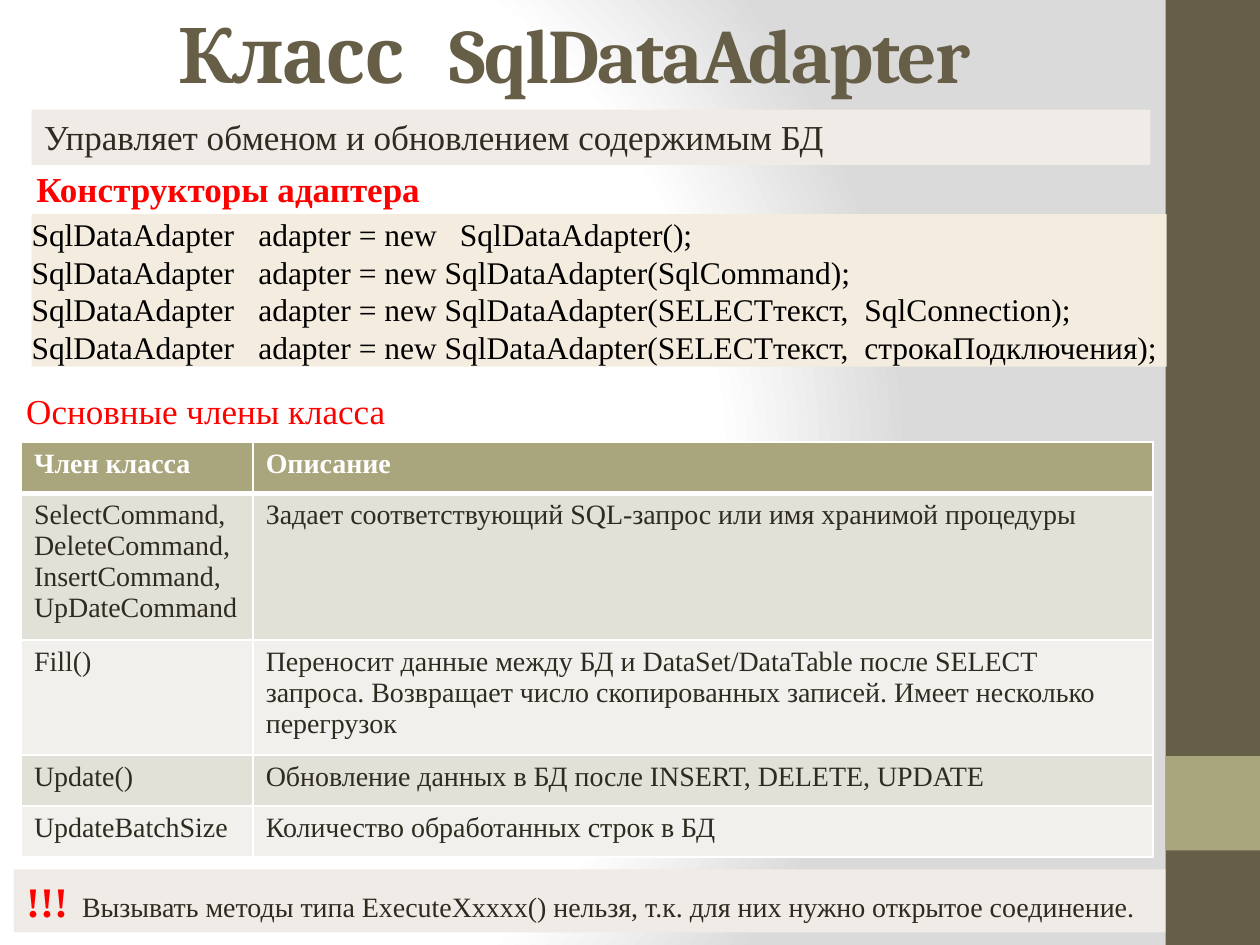
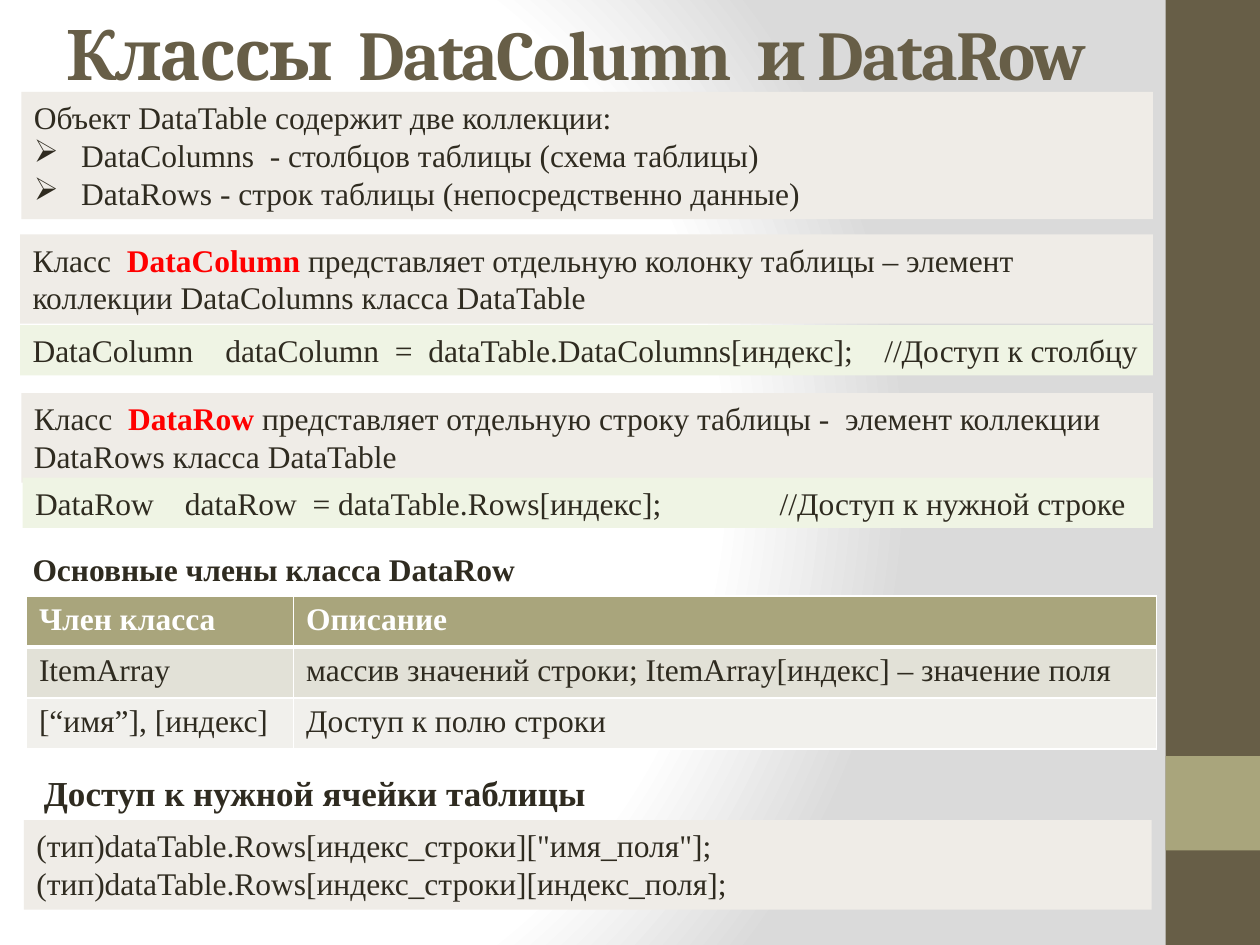
from pptx import Presentation, oxml, util as u
from pptx.dml.color import RGBColor
from pptx.enum import shapes, text
from pptx.oxml.ns import nsdecls

OLIVE = RGBColor(0x67, 0x5E, 0x47)
SAGE = RGBColor(0xA9, 0xA5, 0x7C)
INK = RGBColor(0x2F, 0x2B, 0x20)
BLACK = RGBColor(0, 0, 0)
WHITE = RGBColor(0xFF, 0xFF, 0xFF)
RED = RGBColor(0xFF, 0, 0)
STONE = RGBColor(0xEF, 0xEC, 0xE7)
CREAM = RGBColor(0xF4, 0xEC, 0xDF)
MINT = RGBColor(0xEF, 0xF4, 0xE4)
ROW_DARK = RGBColor(0xE2, 0xE1, 0xD7)
ROW_LIGHT = RGBColor(0xF1, 0xF0, 0xEC)
BODY_FONT = "Times New Roman"
NS = nsdecls("a")

prs = Presentation()
prs.slide_width, prs.slide_height = u.Inches(10), u.Inches(7.5)
CELL = prs.slide_width // 100  # the grid has 100 columns and 75 rows


def write(tf, lines, size=18, color=INK, bold=False, font=BODY_FONT,
          align=text.PP_ALIGN.LEFT, tracking=0, tabs=(), bullets_from=None):
    """Fill a frame with lines; a line is a string or a list of (text, overrides)."""
    tf.word_wrap = True
    for i, line in enumerate(lines):
        p = tf.paragraphs[0] if i == 0 else tf.add_paragraph()
        p.alignment = align
        pPr = p._p.get_or_add_pPr()
        if bullets_from is not None and i >= bullets_from:
            indent = int(3.75 * CELL)
            pPr.set("marL", str(indent))
            pPr.set("indent", str(-indent))
            pPr.append(oxml.parse_xml(f'<a:buChar {NS} char="➢"/>'))
        if tabs:
            stops = "".join(f'<a:tab pos="{int(t * CELL)}" algn="l"/>' for t in tabs)
            pPr.append(oxml.parse_xml(f"<a:tabLst {NS}>{stops}</a:tabLst>"))
        for words, own in [(line, {})] if isinstance(line, str) else line:
            r = p.add_run()
            r.text = words
            r.font.name = font
            r.font.size = u.Pt(own.get("size", size))
            r.font.bold = own.get("bold", bold)
            r.font.color.rgb = own.get("color", color)
            if tracking:
                r._r.get_or_add_rPr().set("spc", str(tracking * 100))


def box(s, place, lines=(), fill=None, anchor=text.MSO_ANCHOR.TOP, padded=True, **fmt):
    """Add a text box, or a filled band, at (left, top, width, height) in grid cells."""
    place = [int(n * CELL) for n in place]
    if fill is None:
        sp = s.shapes.add_textbox(*place)
    else:
        sp = s.shapes.add_shape(shapes.MSO_SHAPE.RECTANGLE, *place)
        sp.shadow.inherit = False
        sp.fill.solid()
        sp.fill.fore_color.rgb = fill
        sp.line.fill.background()
    tf = sp.text_frame
    tf.vertical_anchor = anchor
    if not padded:
        tf.margin_left = tf.margin_top = tf.margin_right = tf.margin_bottom = 0
    write(tf, lines, **fmt)


# Shared frame: background, side band and title; then each slide's member table
HEADER = ("Член класса", "Описание")
pages = [
    dict(title="Класс   SqlDataAdapter ", title_at=(1.2, 0, 90, 8.4), title_size=44,
         table_at=(1.7, 35.1), columns=(18.4, 71.4), heights=(4.05, 11.6, 9.1, 4.05, 4.05),
         size=16, rows=[
             HEADER,
             ("SelectCommand,\nDeleteCommand,\nInsertCommand,\nUpDateCommand",
              "Задает соответствующий SQL-запрос или имя хранимой процедуры"),
             ("Fill()", "Переносит данные между БД и DataSet/DataTable после SELECT запроса. "
                        "Возвращает число скопированных записей. Имеет несколько перегрузок"),
             ("Update()", "Обновление данных в БД после INSERT, DELETE, UPDATE"),
             ("UpdateBatchSize", "Количество обработанных строк в БД")]),
    dict(title="Классы  DataColumn  и DataRow ", title_at=(1, 0, 90.6, 8.4), title_size=40,
         table_at=(2.1, 47.3), columns=(21.2, 68.5), heights=(4.05,) * 3,
         size=18, rows=[
             HEADER,
             ("ItemArray", "массив значений строки; ItemArray[индекс] – значение поля"),
             ("[“имя”], [индекс]", "Доступ к полю строки ")]),
]
slides = []
for page in pages:
    s = prs.slides.add_slide(prs.slide_layouts[6])
    slides.append(s)
    stops = "".join(f'<a:gs pos="{pos}000"><a:srgbClr val="{c}"/></a:gs>'
                    for pos, c in ((0, WHITE), (75, WHITE), (100, "DADADA")))
    s._element.cSld.insert(0, oxml.parse_xml(
        f'<p:bg {nsdecls("a", "p")}><p:bgPr><a:gradFill rotWithShape="1"><a:gsLst>{stops}</a:gsLst>'
        '<a:path path="circle"><a:fillToRect l="20000" t="50000" r="100000" b="50000"/></a:path>'
        '</a:gradFill><a:effectLst/></p:bgPr></p:bg>'))
    box(s, (92.5, 0, 7.5, 75), fill=OLIVE)
    box(s, (92.5, 60, 7.5, 7.5), fill=SAGE)
    box(s, page["title_at"], [page["title"]], anchor=text.MSO_ANCHOR.MIDDLE,
        size=page["title_size"], color=OLIVE, bold=True, font="Cambria",
        align=text.PP_ALIGN.CENTER, tracking=-1)

    rows, columns, heights = page["rows"], page["columns"], page["heights"]
    extent = (*page["table_at"], sum(columns), sum(heights))
    table = s.shapes.add_table(len(rows), len(columns), *(int(n * CELL) for n in extent)).table
    for column, width in zip(table.columns, columns):
        column.width = int(width * CELL)
    for i, row in enumerate(rows):
        table.rows[i].height = int(heights[i] * CELL)
        for j, words in enumerate(row):
            cell = table.cell(i, j)
            tcPr = cell._tc.get_or_add_tcPr()
            for side in "LRTB":
                heavy = (i, side) in ((0, "B"), (1, "T"))
                tcPr.append(oxml.parse_xml(
                    f'<a:ln{side} {NS} w="{u.Pt(3 if heavy else 1)}"><a:solidFill>'
                    f'<a:srgbClr val="{WHITE}"/></a:solidFill></a:ln{side}>'))
            cell.fill.solid()
            cell.fill.fore_color.rgb = SAGE if i == 0 else ROW_DARK if i % 2 else ROW_LIGHT
            write(cell.text_frame, words.split("\n"), size=page["size"],
                  color=WHITE if i == 0 else INK, bold=i == 0)

adapter, rows_columns = slides
KEY = dict(color=RED, bold=True)

# Slide 1: the adapter class
box(adapter, (2.5, 8.7, 88.8, 4.4), ["Управляет обменом и обновлением содержимым БД"],
    fill=STONE, size=20)
box(adapter, (1.9, 12.8, 87.7, 4.4), ["Конструкторы адаптера"], size=20, **KEY)
arguments = ("\tSqlDataAdapter();", " SqlDataAdapter(SqlCommand);",
             " SqlDataAdapter(SELECTтекст,  SqlConnection);",
             " SqlDataAdapter(SELECTтекст,  строкаПодключения);")
box(adapter, (2.5, 17, 90.1, 12.1), ["SqlDataAdapter\tadapter = new" + a for a in arguments],
    fill=CREAM, anchor=text.MSO_ANCHOR.MIDDLE, padded=False, color=BLACK, tabs=(18, 34))
box(adapter, (1.1, 30.4, 79.8, 4.4), ["Основные члены класса"], size=20, color=RED)
box(adapter, (1.1, 69, 91.4, 5),
    [[("!!!", dict(KEY, size=24)),
      ("  Вызывать методы типа ExecuteXxxxx() нельзя, т.к. для них нужно открытое соединение.", {})]],
    fill=STONE, size=16)

# Slide 2: columns and rows of a table
box(rows_columns, (1.7, 7.3, 89.8, 10.1),
    ["Объект DataTable содержит две коллекции: ",
     "DataColumns  - столбцов таблицы (схема таблицы)",
     "DataRows - строк таблицы (непосредственно данные)"], fill=STONE, bullets_from=1)
box(rows_columns, (1.6, 18.6, 89.9, 7.1),
    [[("Класс  ", {}), ("DataColumn", KEY),
      (" представляет отдельную колонку таблицы – элемент коллекции DataColumns класса DataTable", {})]],
    fill=STONE)
box(rows_columns, (1.6, 25.8, 89.9, 4),
    ["DataColumn\tdataColumn  =  dataTable.DataColumns[индекс];\t//Доступ к столбцу"],
    fill=MINT, tabs=(15.3, 67.6))
box(rows_columns, (1.7, 31.2, 89.8, 7.1),
    [[("Класс  ", {}), ("DataRow ", KEY),
      ("представляет отдельную строку таблицы -  элемент коллекции DataRows класса DataTable", {})]],
    fill=STONE)
box(rows_columns, (1.8, 37.9, 89.7, 4),
    ["DataRow\tdataRow  = dataTable.Rows[индекс];\t//Доступ к нужной строке"],
    fill=MINT, tabs=(11.9, 59.1))
box(rows_columns, (1.6, 43.2, 79.8, 4), ["Основные члены класса DataRow"], bold=True)
box(rows_columns, (2.5, 60.7, 48.1, 4.4), ["Доступ к нужной ячейки таблицы"], size=20, bold=True)
box(rows_columns, (1.9, 65.1, 89.5, 7.1),
    [f"(тип)dataTable.Rows[индекс_строки][{key}];" for key in ('"имя_поля"', "индекс_поля")],
    fill=STONE)

prs.save("out.pptx")
